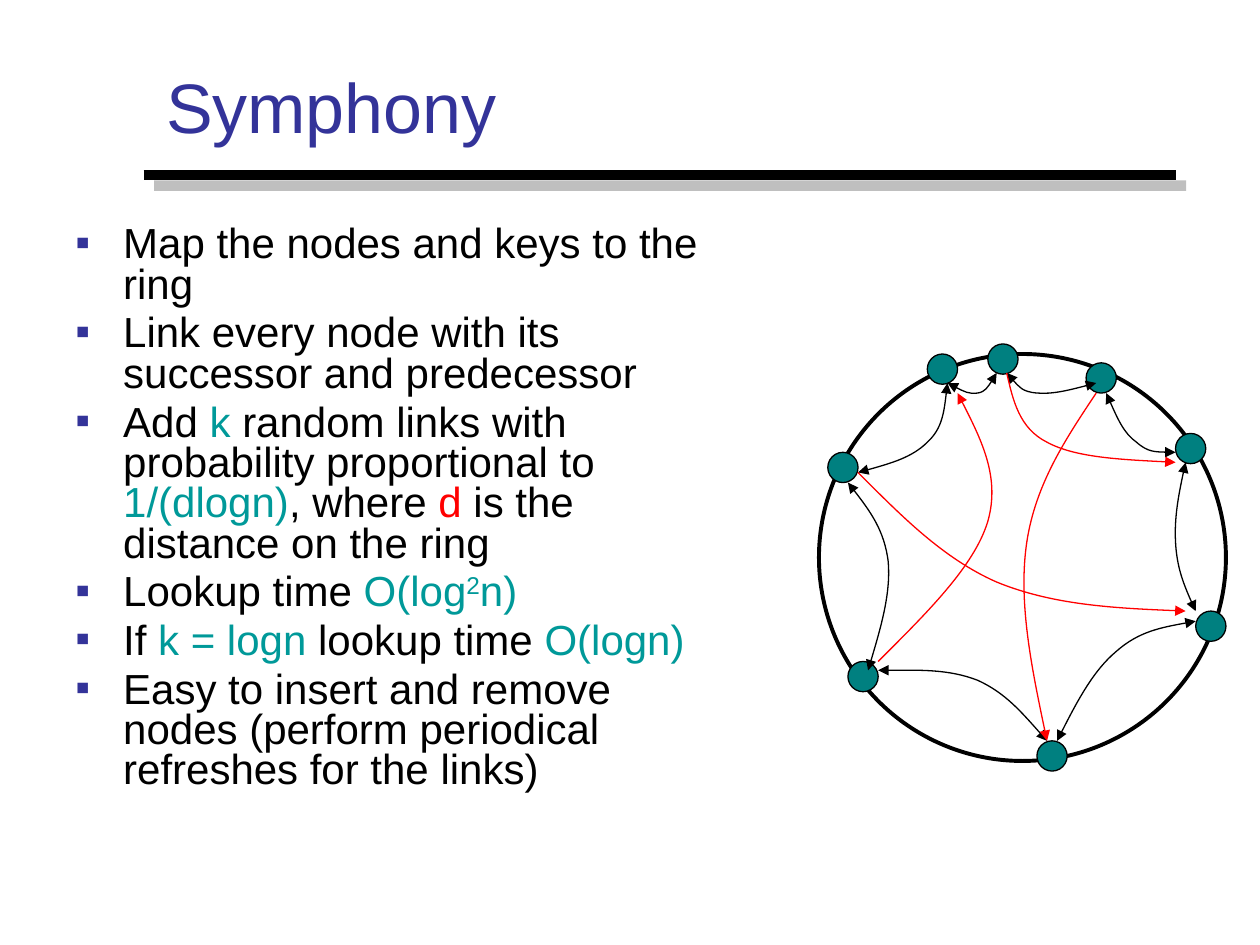
import dataclasses
import typing

import lxml.etree
import pptx
import pptx.dml.color
import pptx.enum.shapes
import pptx.enum.text
import pptx.oxml.ns
import pptx.util

Inches = pptx.util.Inches
Pt = pptx.util.Pt
qn = pptx.oxml.ns.qn
OVAL = pptx.enum.shapes.MSO_SHAPE.OVAL

HUES = {
    "ink": "000000",
    "title": "333399",
    "teal": "009999",
    "node": "008080",
    "red": "FF0000",
    "shade": "808080",
}
BODY = {"name": "Arial", "size": Pt(24)}
HEAD = {"name": "Arial", "size": Pt(40)}
PARA = {"line_spacing": 0.8, "space_before": Pt(4.8)}
FRAME = {"word_wrap": True, "vertical_anchor": pptx.enum.text.MSO_ANCHOR.TOP}
MID = FRAME | {"vertical_anchor": pptx.enum.text.MSO_ANCHOR.MIDDLE}


@dataclasses.dataclass
class Span:
    text: str
    hue: str = "ink"
    raised: bool = False


@dataclasses.dataclass
class Disc:
    left: float
    top: float
    size: float = 0.24
    fill: typing.Optional[str] = "node"
    width: float = 0.75


@dataclasses.dataclass
class Curve:
    points: list
    hue: str = "ink"
    double: bool = True


ITEMS = [
    [Span("Map the nodes and keys to the ring")],
    [Span("Link every node with its successor and predecessor")],
    [
        Span("Add "), Span("k", "teal"),
        Span(" random links with probability proportional to "),
        Span("1/(dlogn)", "teal"), Span(", where "), Span("d", "red"),
        Span(" is the distance on the ring"),
    ],
    [
        Span("Lookup time "), Span("O(log", "teal"),
        Span("2", "teal", True), Span("n)", "teal"),
    ],
    [
        Span("If"), Span(" k = logn ", "teal"),
        Span("lookup time"), Span(" O(logn)", "teal"),
    ],
    [Span("Easy to insert and remove nodes (perform periodical refreshes for the links)")],
]

RING = Disc(6.5, 2.81, 3.23, None, 2.25)
NODES = [
    Disc(6.73, 5.25), Disc(6.57, 3.59), Disc(7.36, 2.81), Disc(7.84, 2.73),
    Disc(8.62, 2.88), Disc(8.23, 5.88), Disc(9.33, 3.44), Disc(9.49, 4.85),
]

NEAR = [
    [(6.73, 3.83), (6.88, 4.02), (7.02, 4.21), (7.05, 4.46), (7.07, 4.71), (6.98, 5.02), (6.89, 5.32)],
    [(6.81, 3.75), (7.03, 3.69), (7.24, 3.63), (7.36, 3.51), (7.48, 3.4), (7.5, 3.22), (7.52, 3.04)],
    [(7.52, 3.04), (7.61, 3.09), (7.69, 3.13), (7.76, 3.12), (7.82, 3.11), (7.87, 3.03), (7.91, 2.96)],
    [(7.99, 2.96), (8.05, 3.03), (8.11, 3.11), (8.23, 3.12), (8.35, 3.13), (8.52, 3.09), (8.7, 3.04)],
    [(8.78, 3.12), (8.85, 3.28), (8.92, 3.44), (9.02, 3.51), (9.11, 3.59), (9.22, 3.59), (9.33, 3.59)],
    [(9.41, 3.67), (9.36, 3.89), (9.32, 4.11), (9.33, 4.3), (9.34, 4.5), (9.41, 4.68), (9.49, 4.85)],
    [(9.49, 4.93), (9.27, 4.97), (9.04, 5.01), (8.86, 5.17), (8.68, 5.32), (8.53, 5.6), (8.39, 5.88)],
    [(6.97, 5.32), (7.25, 5.32), (7.53, 5.31), (7.76, 5.4), (7.98, 5.5), (8.14, 5.69), (8.31, 5.88)],
]
FAR = [
    [(6.97, 5.25), (7.35, 4.87), (7.73, 4.5), (7.84, 4.14), (7.94, 3.79), (7.77, 3.45), (7.6, 3.12)],
    [(6.81, 3.75), (7.15, 4.09), (7.48, 4.43), (7.91, 4.62), (8.35, 4.8), (8.88, 4.83), (9.41, 4.85)],
    [(7.99, 2.96), (8.04, 3.18), (8.09, 3.4), (8.31, 3.51), (8.53, 3.63), (8.93, 3.65), (9.33, 3.67)],
    [(8.7, 3.12), (8.46, 3.48), (8.22, 3.84), (8.15, 4.3), (8.08, 4.76), (8.19, 5.32), (8.31, 5.88)],
]
LINKS = [Curve(p) for p in NEAR] + [Curve(p, "red", False) for p in FAR]


def tint(name: str) -> pptx.dml.color.RGBColor:
    return pptx.dml.color.RGBColor.from_string(HUES[name])


def apply(target: typing.Any, values: dict) -> None:
    for key, value in values.items():
        setattr(target, key, value)


def add_node(parent: typing.Any, tag: str, **attrs: str) -> typing.Any:
    return lxml.etree.SubElement(parent, qn(tag), attrs)


def add_rule(slide: typing.Any) -> None:
    kind = pptx.enum.shapes.MSO_CONNECTOR.STRAIGHT
    rule = slide.shapes.add_connector(kind, Inches(1.14), Inches(1.39), Inches(9.33), Inches(1.39))
    rule.line.color.rgb = tint("ink")
    rule.line.width = Pt(6)
    effects = add_node(rule._element.spPr, "a:effectLst")
    shade = add_node(effects, "a:outerShdw", dist=str(Pt(8.5)), dir="2700000", algn="ctr", rotWithShape="0")
    color = add_node(shade, "a:srgbClr", val=HUES["shade"])
    add_node(color, "a:alpha", val="50000")


def add_frame(slide: typing.Any, area: tuple, values: dict) -> typing.Any:
    frame = slide.shapes.add_textbox(*map(Inches, area)).text_frame
    apply(frame, values)
    return frame


def add_span(para: typing.Any, span: Span, font: dict) -> None:
    run = para.add_run()
    run.text = span.text
    apply(run.font, font)
    run.font.color.rgb = tint(span.hue)
    if span.raised:
        run._r.get_or_add_rPr().set("baseline", "30000")


def add_list(frame: typing.Any, items: list) -> None:
    for rank, spans in enumerate(items):
        para = frame.add_paragraph() if rank else frame.paragraphs[0]
        props = para._p.get_or_add_pPr()
        props.set("marL", str(Inches(0.38)))
        props.set("indent", str(Inches(-0.38)))
        add_node(add_node(props, "a:buClr"), "a:srgbClr", val=HUES["title"])
        add_node(props, "a:buFont", typeface="Arial")
        add_node(props, "a:buChar", char="▪")
        apply(para, PARA if rank else PARA | {"space_before": Pt(0)})
        for span in spans:
            add_span(para, span, BODY)


def style(shape: typing.Any, fill: typing.Optional[str], hue: str, width: float) -> None:
    shape.shadow.inherit = False
    if fill:
        shape.fill.solid()
        shape.fill.fore_color.rgb = tint(fill)
    else:
        shape.fill.background()
    shape.line.color.rgb = tint(hue)
    shape.line.width = Pt(width)


def add_disc(slide: typing.Any, disc: Disc) -> None:
    area = (disc.left, disc.top, disc.size, disc.size)
    shape = slide.shapes.add_shape(OVAL, *map(Inches, area))
    style(shape, disc.fill, "ink", disc.width)


def add_curve(slide: typing.Any, curve: Curve) -> None:
    first, *rest = [(Inches(x), Inches(y)) for x, y in curve.points]
    pen = slide.shapes.build_freeform(*first)
    pen.add_line_segments(rest, close=False)
    shape = pen.convert_to_shape()
    style(shape, None, curve.hue, 0.75)
    props = shape._element.spPr
    trace = next(props.iter(qn("a:path")))
    steps = trace.findall(qn("a:lnTo"))
    for start in range(0, len(steps), 3):
        bend = add_node(trace, "a:cubicBezTo")
        for step in steps[start:start + 3]:
            bend.append(step[0])
            trace.remove(step)
    line = props.find(qn("a:ln"))
    if curve.double:
        add_node(line, "a:headEnd", type="triangle")
    add_node(line, "a:tailEnd", type="triangle")


def main() -> None:
    deck = pptx.Presentation()
    apply(deck, {"slide_width": Inches(10), "slide_height": Inches(7.5)})
    slide = deck.slides.add_slide(deck.slide_layouts[6])
    add_rule(slide)
    title = add_frame(slide, (1.22, 0.36, 8.43, 0.95), MID)
    add_span(title.paragraphs[0], Span("Symphony", "title"), HEAD)
    add_list(add_frame(slide, (0.5, 1.75, 5.34, 4.95), FRAME), ITEMS)
    for disc in [RING, *NODES]:
        add_disc(slide, disc)
    for link in LINKS:
        add_curve(slide, link)
    deck.save("out.pptx")


if __name__ == "__main__":
    main()
